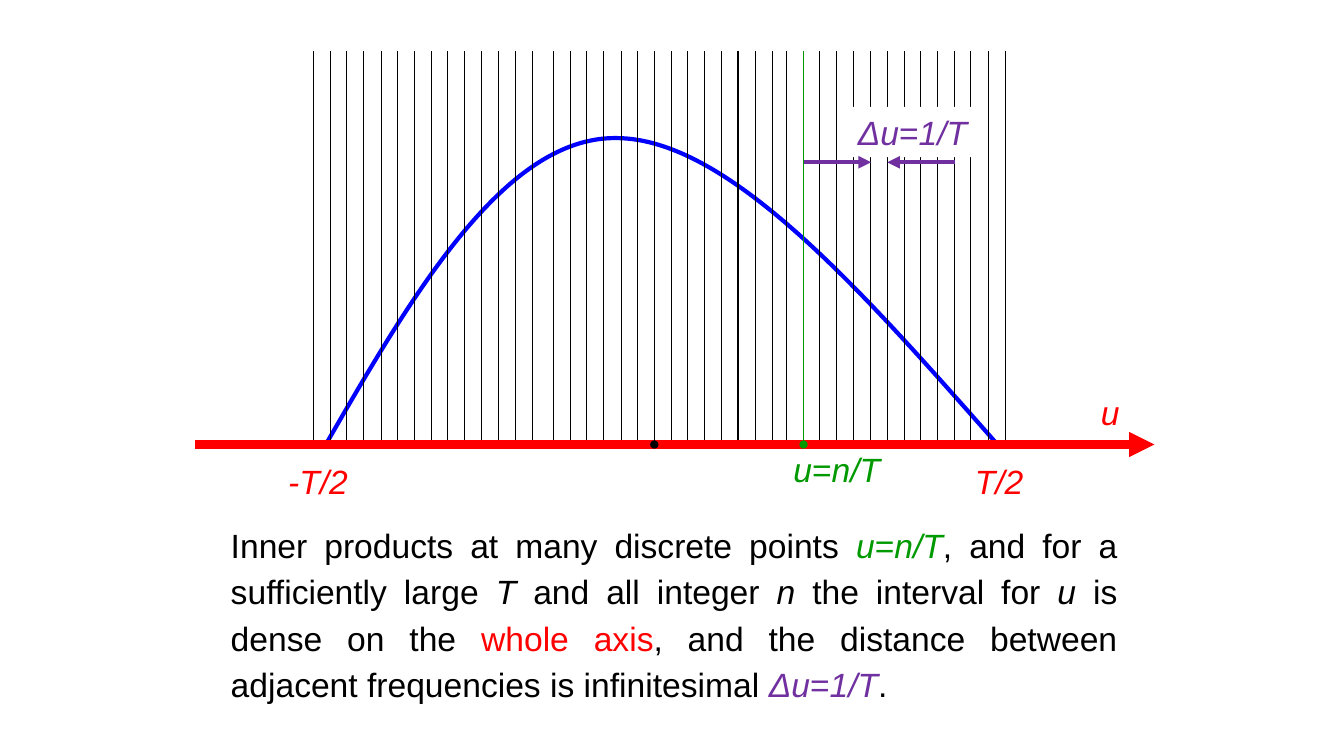
from dataclasses import dataclass

from lxml import etree
from pptx import Presentation
from pptx.dml.color import RGBColor
from pptx.enum.shapes import MSO_CONNECTOR, MSO_SHAPE
from pptx.enum.text import MSO_ANCHOR, MSO_AUTO_SIZE, PP_ALIGN
from pptx.oxml.ns import qn
from pptx.util import Inches, Pt

STRAIGHT = MSO_CONNECTOR.STRAIGHT
RECTANGLE = MSO_SHAPE.RECTANGLE
TOP = MSO_ANCHOR.TOP
FIT_SHAPE = MSO_AUTO_SIZE.SHAPE_TO_FIT_TEXT
LEFT, JUSTIFY = PP_ALIGN.LEFT, PP_ALIGN.JUSTIFY

BLACK = RGBColor(0x00, 0x00, 0x00)
WHITE = RGBColor(0xFF, 0xFF, 0xFF)
RED = RGBColor(0xFF, 0x00, 0x00)
GREEN = RGBColor(0x00, 0x99, 0x00)
BLUE = RGBColor(0x00, 0x00, 0xFF)
PURPLE = RGBColor(0x70, 0x30, 0xA0)

GRID_TOP, AXIS_Y = 0.51, 4.41
GRID_STARTS = (3.11, 5.49, 7.8)
LINES_PER_BLOCK = 14
GRID_STEP = 1 / 6
ORIGIN_X, SAMPLE_X = 6.49, 7.97
SPACING_Y = 1.61
CURVE = ((3.22, 4.43), (4.09, 2.92), (5, 1.36), (6.11, 1.37),
         (7.23, 1.37), (8.57, 2.91), (9.92, 4.44))


@dataclass(frozen=True)
class Span:
    text: str
    color: RGBColor = BLACK
    italic: bool = False


@dataclass(frozen=True)
class Label:
    left: float
    top: float
    width: float
    spans: tuple[Span, ...]
    fill: RGBColor | None = None


@dataclass(frozen=True)
class Line:
    x1: float
    y1: float
    x2: float
    y2: float
    color: RGBColor = BLACK
    weight: float = 0.75
    end: str | None = None


def formula(left: str, right: str, color: RGBColor) -> tuple[Span, ...]:
    return Span(left, color, True), Span("=", color), Span(right, color, True)


SAMPLE_POINT = formula("u", "n/T", GREEN)
SPACING = formula("Δu", "1/T", PURPLE)

LABELS = (
    Label(2.76, 4.52, 0.8, (Span("-T/2", RED, True),)),
    Label(9.57, 4.52, 0.69, (Span("T/2", RED, True),)),
    Label(7.77, 4.4, 1.07, SAMPLE_POINT),
    Label(10.82, 3.84, 0.39, (Span("u", RED, True),)),
)
SPACING_LABEL = Label(8.41, 1.06, 1.3, SPACING, WHITE)

EXPLANATION = (
    Span("Inner products at many discrete points "),
    *SAMPLE_POINT,
    Span(", and for a sufficiently large "),
    Span("T", italic=True),
    Span(" and all integer "),
    Span("n", italic=True),
    Span(" the interval for "),
    Span("u", italic=True),
    Span(" is dense on the "),
    Span("whole axis", RED),
    Span(", and the distance between adjacent frequencies is infinitesimal "),
    *SPACING,
    Span("."),
)

AXIS = Line(1.93, AXIS_Y, 11.45, AXIS_Y, RED, 6, "triangle")
MARKED_LINES = (
    Line(SAMPLE_X, GRID_TOP, SAMPLE_X, AXIS_Y, GREEN, end="oval"),
    Line(ORIGIN_X, GRID_TOP, ORIGIN_X, AXIS_Y, end="oval"),
)
SPACING_ARROWS = (
    Line(SAMPLE_X, SPACING_Y, 8.64, SPACING_Y, PURPLE, 3, "triangle"),
    Line(9.47, SPACING_Y, 8.8, SPACING_Y, PURPLE, 3, "triangle"),
)


def add_line(shapes, line: Line) -> None:
    s = shapes.add_connector(STRAIGHT, Inches(line.x1), Inches(line.y1),
                             Inches(line.x2), Inches(line.y2))
    s.line.color.rgb = line.color
    s.line.width = Pt(line.weight)
    if line.end:
        etree.SubElement(s.line._get_or_add_ln(), qn("a:tailEnd"), type=line.end)
    etree.SubElement(s._element.spPr, qn("a:effectLst"))


def add_grid(shapes) -> None:
    for start in GRID_STARTS:
        for i in range(LINES_PER_BLOCK):
            x = round(start + i * GRID_STEP, 2)
            if min(abs(x - ORIGIN_X), abs(x - SAMPLE_X)) > 0.05:
                add_line(shapes, Line(x, GRID_TOP, x, AXIS_Y))


def add_curve(shapes) -> None:
    points = [(Inches(x), Inches(y)) for x, y in CURVE]
    builder = shapes.build_freeform(*points[0])
    builder.add_line_segments(points[1:], close=False)
    s = builder.convert_to_shape()
    s.shadow.inherit = False
    s.fill.background()
    s.line.color.rgb = BLUE
    s.line.width = Pt(3)
    segments = list(s._element.iter(qn("a:lnTo")))
    for i in range(0, len(segments), 3):
        bezier = etree.Element(qn("a:cubicBezTo"))
        segments[i].addprevious(bezier)
        for segment in segments[i:i + 3]:
            bezier.append(segment[0])
            segment.getparent().remove(segment)


def write_spans(tf, spans: tuple[Span, ...], align: PP_ALIGN = LEFT) -> None:
    tf.auto_size = FIT_SHAPE
    tf.vertical_anchor = TOP
    p = tf.paragraphs[0]
    p.alignment = align
    p.font.name = "Arial"
    p.font.size = Pt(24)
    for span in spans:
        r = p.add_run()
        r.text = span.text
        r.font.color.rgb = span.color
        r.font.italic = span.italic


def add_label(shapes, label: Label) -> None:
    box = (Inches(label.left), Inches(label.top), Inches(label.width), Inches(0.5))
    if label.fill is None:
        s = shapes.add_textbox(*box)
    else:
        s = shapes.add_shape(RECTANGLE, *box)
        s.shadow.inherit = False
        s.fill.solid()
        s.fill.fore_color.rgb = label.fill
        s.line.fill.background()
    s.text_frame.word_wrap = False
    write_spans(s.text_frame, label.spans)


def add_explanation(shapes) -> None:
    s = shapes.add_textbox(Inches(2.19), Inches(5.1), Inches(8.99), Inches(1.96))
    tf = s.text_frame
    tf.word_wrap = True
    write_spans(tf, EXPLANATION, JUSTIFY)
    tf.paragraphs[0].line_spacing = 1.15


def main() -> None:
    prs = Presentation()
    prs.slide_width = Inches(13.33)
    prs.slide_height = Inches(7.5)
    shapes = prs.slides.add_slide(prs.slide_layouts[6]).shapes
    add_curve(shapes)
    add_grid(shapes)
    add_explanation(shapes)
    for label in LABELS:
        add_label(shapes, label)
    for line in (AXIS, *MARKED_LINES):
        add_line(shapes, line)
    add_label(shapes, SPACING_LABEL)
    for arrow in SPACING_ARROWS:
        add_line(shapes, arrow)
    prs.save("out.pptx")


if __name__ == "__main__":
    main()
